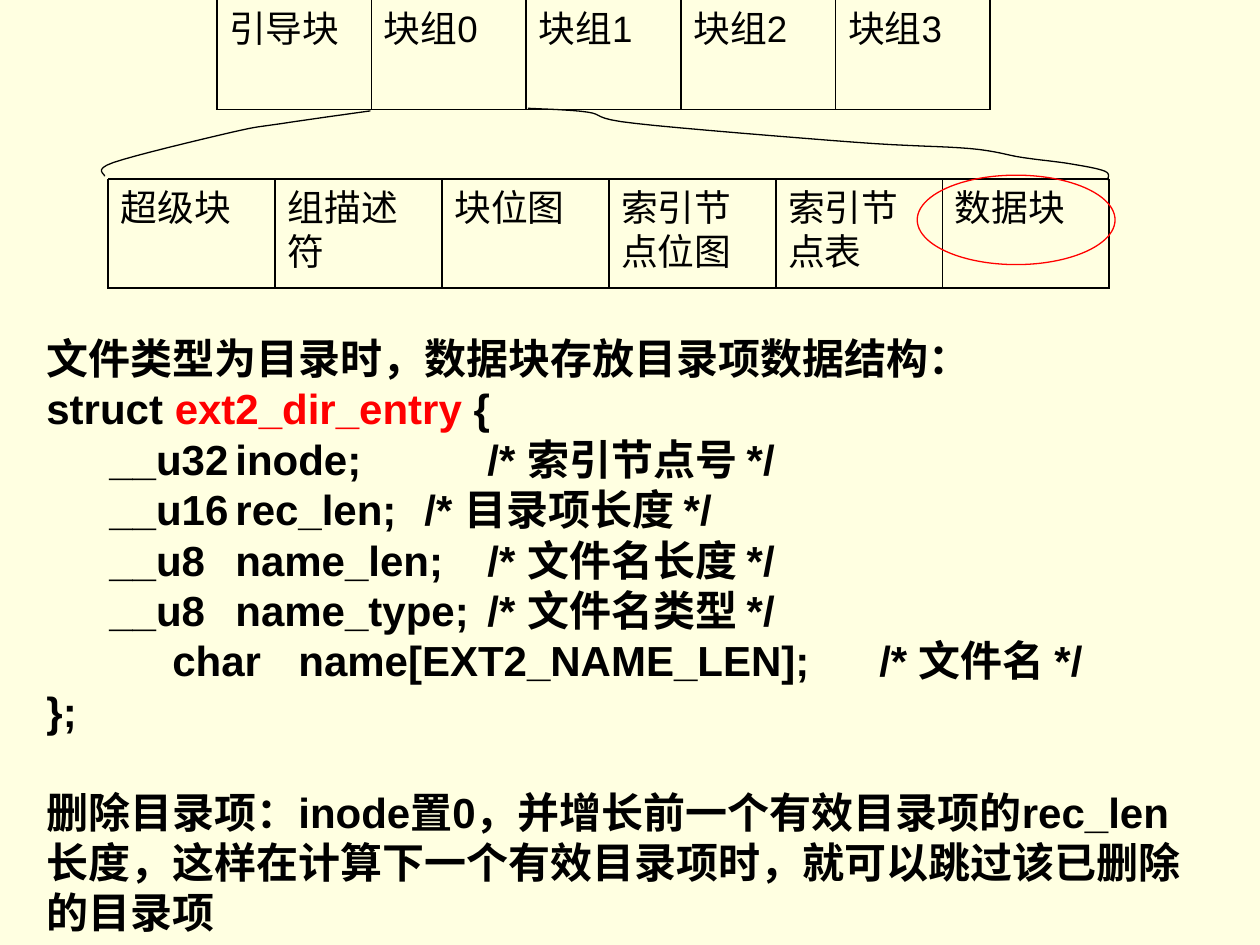
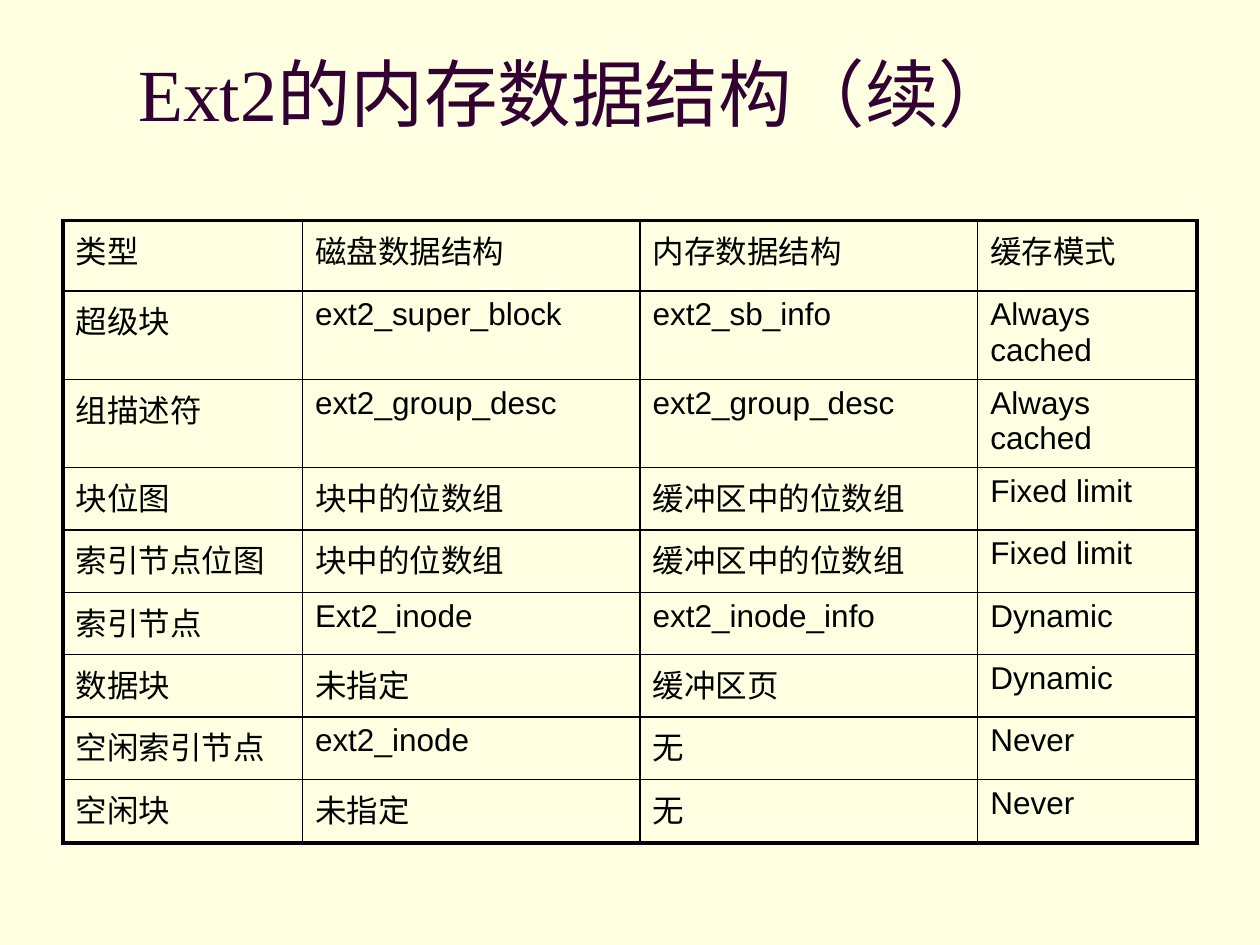
"""Two slides on the Ext2 directory entry and its in-memory structures."""
from pptx import Presentation
from pptx.dml.color import RGBColor
from pptx.enum.shapes import MSO_CONNECTOR, MSO_SHAPE
from pptx.enum.text import MSO_ANCHOR
from pptx.oxml.ns import qn
from pptx.util import Inches, Pt
from lxml.etree import SubElement

HUES = {"back": "FFFFE1", "ink": "000000", "mark": "FF0000", "head": "330033"}
LABEL = {"name": "Arial", "size": Pt(21)}
BODY = {"name": "Arial", "size": Pt(24), "bold": True}
CELL = {"name": "Arial", "size": Pt(18)}
TITLE = {"name": "Times New Roman", "size": Pt(42)}

GROUPS = ["引导块", "块组0", "块组1", "块组2", "块组3"]
BLOCKS = ["超级块", "组描述符", "块位图", "索引节点位图", "索引节点表", "数据块"]
LEFT_BEND = [(29.4, 8.8), (22.4, 9.8), (18.4, 10.5), (9, 12.9), (8.3, 14)]
RIGHT_BEND = [(41.9, 8.6), (46.6, 8.9), (50.4, 9.8), (67.9, 11.3), (77, 11.8),
              (81.1, 12.5), (84.9, 13), (87.7, 13.6), (87.9, 14.3)]

CODE = [
    [("文件类型为目录时，数据块存放目录项数据结构：", "ink")],
    [("struct ", "ink"), ("ext2_dir_entry", "mark"), (" {", "ink")],
    [("\t__u32\tinode;\t\t/* 索引节点号 */", "ink")],
    [("\t__u16\trec_len;\t/* 目录项长度 */", "ink")],
    [("\t__u8\tname_len;\t/* 文件名长度 */", "ink")],
    [("\t__u8\tname_type;\t/* 文件名类型 */", "ink")],
    [("\tchar\tname[EXT2_NAME_LEN];\t/* 文件名 */", "ink")],
    [("};", "ink")],
    [("删除目录项：inode置0，并增长前一个有效目录项的rec_len长度，"
      "这样在计算下一个有效目录项时，就可以跳过该已删除的目录项", "ink")],
]
WIDE = 6
STOPS = (10, 20, 66.1)

ROWS = [
    ("类型", "磁盘数据结构", "内存数据结构", "缓存模式"),
    ("超级块", "ext2_super_block", "ext2_sb_info", "Always cached"),
    ("组描述符", "ext2_group_desc", "ext2_group_desc", "Always cached"),
    ("块位图", "块中的位数组", "缓冲区中的位数组", "Fixed limit"),
    ("索引节点位图", "块中的位数组", "缓冲区中的位数组", "Fixed limit"),
    ("索引节点", "Ext2_inode", "ext2_inode_info", "Dynamic"),
    ("数据块", "未指定", "缓冲区页", "Dynamic"),
    ("空闲索引节点", "ext2_inode", "无", "Never"),
    ("空闲块", "未指定", "无", "Never"),
]
COLS = (19, 26.8, 26.8, 17.4)
TALL = (5.6, 7, 7, 4.95, 4.95, 4.95, 4.95, 4.95, 5.05)


def unit(count):
    """Turn cells of a 100 by 75 grid into a length."""
    return Inches(round(count / 10, 4))


def hue(name):
    """Look up a colour."""
    return RGBColor.from_string(HUES[name])


def write(para, text, style, tint="ink"):
    """Add a styled run to a paragraph."""
    run = para.add_run()
    run.text = text
    for key, value in style.items():
        setattr(run.font, key, value)
    run.font.color.rgb = hue(tint)


def box(slide, *area):
    """Add a wrapping text box and give its frame."""
    frame = slide.shapes.add_textbox(*map(unit, area)).text_frame
    frame.word_wrap = True
    return frame


def pen(shape, tint="ink", width=0.75):
    """Set the outline of a shape."""
    shape.line.color.rgb = hue(tint)
    shape.line.width = Pt(width)


def rule(slide, *ends):
    """Draw a straight line."""
    line = slide.shapes.add_connector(MSO_CONNECTOR.STRAIGHT, *map(unit, ends))
    pen(line, width=1)
    SubElement(line._element.spPr, qn("a:effectLst"))


def strip(slide, names, left, top, step, lids):
    """Draw a row of labelled cells with lines at the given heights."""
    tall = 8.7
    right = left + step * len(names)
    for col, name in enumerate(names):
        frame = box(slide, left + col * step, top, step, tall)
        write(frame.paragraphs[0], name, LABEL)
    for y in lids:
        rule(slide, left, y, right, y)
    for col in range(len(names) + 1):
        x = left + col * step
        rule(slide, x, top, x, top + tall)


def blend(a, b, c, d, t):
    """Give a smooth value between b and c."""
    return b + t * (c - a + t * (2 * a - 5 * b + 4 * c - d
                                 + t * (3 * (b - c) + d - a))) / 2


def bend(slide, knots):
    """Draw a smooth open curve through the knots."""
    pads = [knots[0], *knots, knots[-1]]
    dots = [tuple(unit(blend(*axis, t / 8)) for axis in zip(*pads[i:i + 4]))
            for i in range(len(knots) - 1) for t in range(1, 9)]
    path = slide.shapes.build_freeform(*map(unit, knots[0]))
    path.add_line_segments(dots, close=False)
    hollow(path.convert_to_shape())


def hollow(shape, tint="ink"):
    """Leave only the outline of a shape."""
    shape.shadow.inherit = False
    shape.fill.background()
    pen(shape, tint)


def tabs(para, stops):
    """Set the tab stops of a paragraph."""
    group = SubElement(para._p.get_or_add_pPr(), qn("a:tabLst"))
    for stop in stops:
        SubElement(group, qn("a:tab"), pos=str(unit(stop)), algn="l")


def code(slide):
    """Write the structure and the note below it."""
    frame = box(slide, 2.7, 25.9, 92.1, 48.9)
    for row, parts in enumerate(CODE):
        para = frame.add_paragraph() if row else frame.paragraphs[0]
        if row == WIDE:
            tabs(para, STOPS)
        for text, tint in parts:
            write(para, text, BODY, tint)
    para.space_before = Pt(28.8)


def edge(cell, side, width):
    """Draw one border of a table cell."""
    line = SubElement(cell._tc.get_or_add_tcPr(), qn("a:ln" + side),
                      w=str(Pt(width)))
    fill = SubElement(line, qn("a:solidFill"))
    SubElement(fill, qn("a:srgbClr"), val=HUES["ink"])


def grid(slide):
    """Fill the table with a heavy outer frame."""
    area = (5, 17.5, sum(COLS), sum(TALL))
    table = slide.shapes.add_table(len(ROWS), len(COLS),
                                   *map(unit, area)).table
    table.first_row = table.horz_banding = False
    for col, wide in zip(table.columns, COLS):
        col.width = unit(wide)
    for y, (row, tall) in enumerate(zip(table.rows, TALL)):
        row.height = unit(tall)
        for x, cell in enumerate(row.cells):
            outer = {"L": x == 0, "R": x == len(COLS) - 1,
                     "T": y == 0, "B": y == len(ROWS) - 1}
            for side, heavy in outer.items():
                edge(cell, side, 2.25 if heavy else 1)
            cell.fill.background()
            write(cell.text_frame.paragraphs[0], ROWS[y][x], CELL)


def main():
    """Build and save both slides."""
    deck = Presentation()
    deck.slide_width, deck.slide_height = unit(100), unit(75)
    fill = deck.slide_master.background.fill
    fill.solid()
    fill.fore_color.rgb = hue("back")
    entry, memory = (deck.slides.add_slide(deck.slide_layouts[6])
                     for _ in range(2))

    strip(entry, GROUPS, 17.2, 0, 12.28, [8.7])
    strip(entry, BLOCKS, 8.6, 14.2, 13.24, [14.2, 22.85])
    for knots in (LEFT_BEND, RIGHT_BEND):
        bend(entry, knots)
    ring = entry.shapes.add_shape(MSO_SHAPE.OVAL,
                                  *map(unit, (72.8, 13.9, 15.7, 7.1)))
    hollow(ring, "mark")
    code(entry)

    frame = box(memory, 10, 3, 85, 8.6)
    frame.vertical_anchor = MSO_ANCHOR.MIDDLE
    write(frame.paragraphs[0], "Ext2的内存数据结构（续）", TITLE, "head")
    grid(memory)
    deck.save("out.pptx")


if __name__ == "__main__":
    main()
